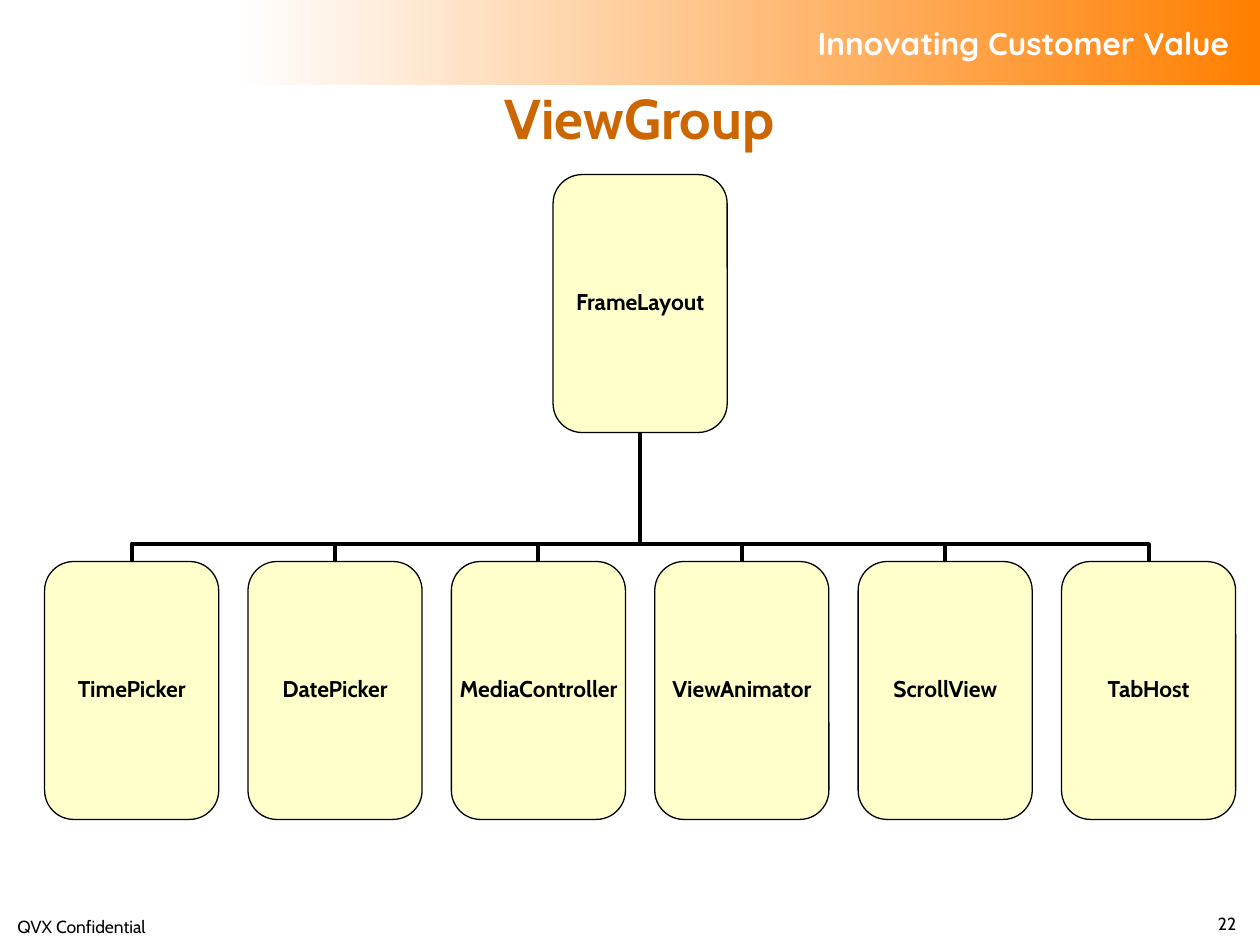
from lxml import etree
from pptx import Presentation
from pptx.dml.color import RGBColor
from pptx.enum import shapes, text
from pptx.oxml import ns
from pptx.util import Cm, Pt

TITLE = "ViewGroup"
BANNER = "Innovating Customer Value"
ROOT = "FrameLayout"
CHILDREN = ["TimePicker", "DatePicker", "MediaController",
            "ViewAnimator", "ScrollView", "TabHost"]
FOOTER = "QVX Confidential"
PAGE = "22"

THEME = {
    "font": "Cabin", "banner_font": "Quicksand",
    "title": "CC6600", "ink": "000000", "paper": "FFFFFF",
    "accent": "FF7F00", "box": "FFFFCC",
    "title_pt": 32, "banner_pt": 18, "box_pt": 13, "footer_pt": 10,
}

# Tree geometry in centimetres
LEFT, PITCH, BOX_W, BOX_H = 0.9, 4.1, 3.51, 5.2
ROOT_TOP, CHILD_TOP = 3.52, 11.32
BEND = 0.132  # share of the way up from child to root

ALIGN, ANCHOR = text.PP_ALIGN, text.MSO_ANCHOR


def rgb(name):
    return RGBColor.from_string(THEME[name])


def write(sp, words, size, color="ink", font="font", bold=False,
          align=ALIGN.LEFT, anchor=ANCHOR.TOP, wrap=True,
          insets=(0.25, 0.13, 0.25, 0.13), spacing=None, before=None):
    """Fill a shape with one paragraph; insets are left, top, right, bottom in cm."""
    tf = sp.text_frame
    tf.word_wrap = wrap
    tf.auto_size = text.MSO_AUTO_SIZE.NONE
    tf.vertical_anchor = anchor
    tf.margin_left, tf.margin_top, tf.margin_right, tf.margin_bottom = map(Cm, insets)
    p = tf.paragraphs[0]
    p.alignment = align
    if spacing:
        p.line_spacing = spacing
    if before:
        p.space_before = Pt(before)
    r = p.add_run()
    r.text = words
    r.font.name = THEME[font]
    r.font.size = Pt(THEME[size])
    r.font.bold = bold
    r.font.color.rgb = rgb(color)


def add_banner(slide):
    sp = slide.shapes.add_shape(shapes.MSO_SHAPE.RECTANGLE,
                                Cm(4.7), 0, Cm(20.7), Cm(1.72))
    sp.shadow.inherit = False
    sp.line.fill.background()
    sp.fill.gradient()
    sp.fill.gradient_angle = 0
    for stop, color in zip(sp.fill.gradient_stops, ("paper", "accent")):
        stop.color.rgb = rgb(color)
    write(sp, BANNER, "banner_pt", color="paper", font="banner_font", bold=True,
          align=ALIGN.RIGHT, anchor=ANCHOR.MIDDLE, wrap=False,
          insets=(0.25, 0.13, 0.62, 0.13))


def add_box(slide, name, x, y):
    sp = slide.shapes.add_shape(shapes.MSO_SHAPE.ROUNDED_RECTANGLE,
                                Cm(x), Cm(y), Cm(BOX_W), Cm(BOX_H))
    sp.shadow.inherit = False
    sp.fill.solid()
    sp.fill.fore_color.rgb = rgb("box")
    sp.line.color.rgb = rgb("ink")
    sp.line.width = Pt(0.75)
    write(sp, name, "box_pt", bold=True, align=ALIGN.CENTER,
          anchor=ANCHOR.MIDDLE, wrap=False, insets=(0, 0, 0, 0),
          spacing=0.8, before=3.3)


def add_branch(slide, child_x, root_x):
    """Elbow from a child's top up to the root's bottom, turned to leave vertically."""
    top, bottom = ROOT_TOP + BOX_H, CHILD_TOP
    mid_x, mid_y = (child_x + root_x) / 2, (top + bottom) / 2
    half_w, half_h = (bottom - top) / 2, abs(child_x - root_x) / 2
    side = 1 if child_x < root_x else -1
    c = slide.shapes.add_connector(
        shapes.MSO_CONNECTOR.ELBOW,
        Cm(mid_x + side * half_w), Cm(mid_y + half_h),
        Cm(mid_x - side * half_w), Cm(mid_y - half_h))
    c.line.color.rgb = rgb("ink")
    c.line.width = Pt(2.25)
    props = c._element.spPr
    props.find(ns.qn("a:xfrm")).set("rot", str((90 if side > 0 else 270) * 60000))
    guides = props.find(ns.qn("a:prstGeom")).find(ns.qn("a:avLst"))
    etree.SubElement(guides, ns.qn("a:gd"), name="adj1",
                     fmla=f"val {round(BEND * 100000)}")
    etree.SubElement(props, ns.qn("a:effectLst"))


def add_tree(slide):
    lefts = [LEFT + i * PITCH for i in range(len(CHILDREN))]
    root_left = (lefts[0] + lefts[-1]) / 2
    for x in lefts:
        add_branch(slide, x + BOX_W / 2, root_left + BOX_W / 2)
    add_box(slide, ROOT, root_left, ROOT_TOP)
    for name, x in zip(CHILDREN, lefts):
        add_box(slide, name, x, CHILD_TOP)


def main():
    prs = Presentation()
    prs.slide_width, prs.slide_height = Cm(25.4), Cm(19.05)
    slide = prs.slides.add_slide(prs.slide_layouts[5])

    add_banner(slide)
    title = slide.shapes.title
    title.left, title.top, title.width, title.height = map(Cm, (1.63, 1.68, 22.53, 2.46))
    write(title, TITLE, "title_pt", color="title", bold=True,
          align=ALIGN.CENTER, insets=(0.25, 0, 0.25, 0))
    add_tree(slide)

    footer = slide.shapes.add_textbox(Cm(0.1), Cm(18.34), Cm(8.05), Cm(0.61))
    write(footer, FOOTER, "footer_pt")
    page = slide.shapes.add_textbox(Cm(20.09), Cm(18.34), Cm(5.08), Cm(0.61))
    write(page, PAGE, "footer_pt", align=ALIGN.RIGHT, anchor=ANCHOR.BOTTOM)

    prs.save("out.pptx")


if __name__ == "__main__":
    main()
